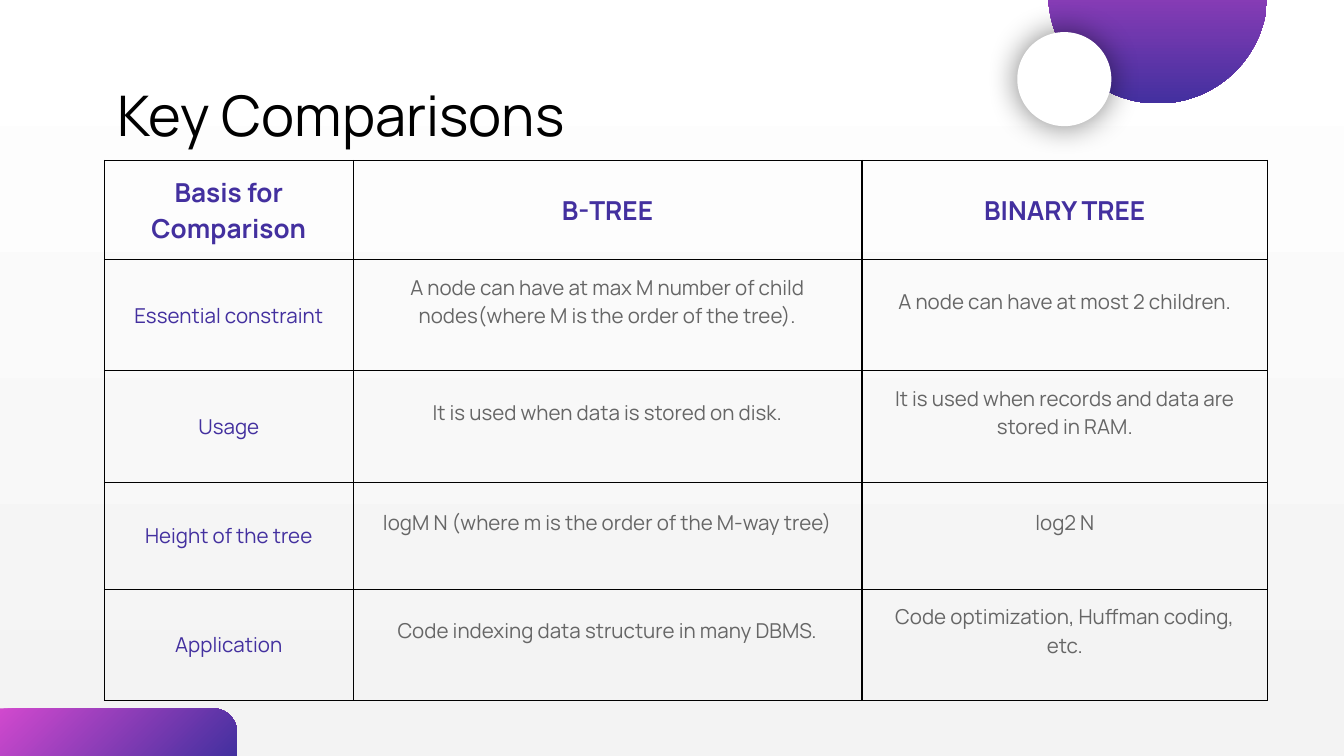
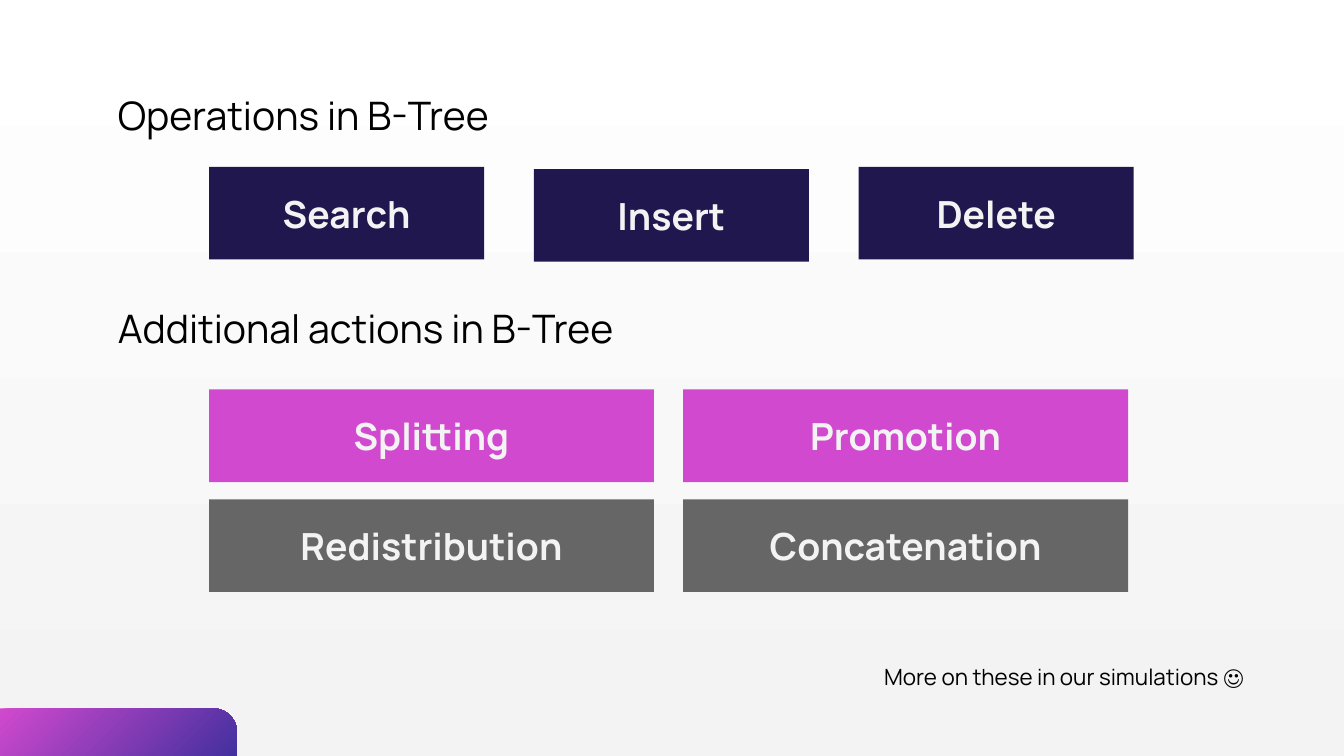
import pptx
import pptx.util
import pptx.dml.color
import pptx.enum.shapes
import pptx.enum.text
import pptx.oxml
import pptx.oxml.ns

Pt = pptx.util.Pt
SHAPES = pptx.enum.shapes.MSO_SHAPE
ALIGN = pptx.enum.text.PP_ALIGN
MIDDLE = pptx.enum.text.MSO_ANCHOR.MIDDLE
FONT = "Manrope"
COLORS = {
    "black": "000000",
    "white": "FFFFFF",
    "light": "F3F3F3",
    "pink": "D149CE",
    "violet": "43309F",
    "navy": "21174F",
    "gray": "666666",
}


def set_text(frame, text, size, color, align, bold=False):
    frame.word_wrap = True
    paragraph = frame.paragraphs[0]
    paragraph.text = text
    paragraph.alignment = align
    paragraph.font.name = FONT
    paragraph.font.size = Pt(size)
    paragraph.font.bold = bold
    paragraph.font.color.rgb = pptx.dml.color.RGBColor.from_string(COLORS[color])


def set_fill(fill, colors, angle=0):
    if len(colors) == 1:
        fill.solid()
        fill.fore_color.rgb = pptx.dml.color.RGBColor.from_string(COLORS[colors[0]])
        return
    fill.gradient()
    fill.gradient_angle = 360 - angle
    for stop, color in zip(fill.gradient_stops, colors):
        stop.color.rgb = pptx.dml.color.RGBColor.from_string(COLORS[color])


presentation = pptx.Presentation()
presentation.slide_width = Pt(720)
presentation.slide_height = Pt(405)

slides = []
for number in range(2):
    slide = presentation.slides.add_slide(presentation.slide_layouts[6])
    set_fill(slide.background.fill, ["white", "light"], 90)
    band = slide.shapes.add_shape(SHAPES.ROUND_1_RECTANGLE, 0, Pt(379.5), Pt(127), Pt(25.5))
    band.adjustments[0] = 0.5
    band.shadow.inherit = False
    band.line.fill.background()
    set_fill(band.fill, ["pink", "violet"], 45)
    slides.append(slide)
comparison_slide, operations_slide = slides

text_lines = [
    (comparison_slide, "Key Comparisons", 56, 42.5, 30, ALIGN.LEFT),
    (operations_slide, "Operations in B-Tree", 56, 42.5, 21, ALIGN.LEFT),
    (operations_slide, "Additional actions in B-Tree", 56, 157, 21, ALIGN.LEFT),
    (operations_slide, "More on these in our simulations ☺", 65.5, 343.5, 12, ALIGN.RIGHT),
]
for slide, text, left, top, size, align in text_lines:
    box = slide.shapes.add_textbox(Pt(left), Pt(top), Pt(608), Pt(37.5))
    frame = box.text_frame
    frame.vertical_anchor = MIDDLE
    frame.margin_left = frame.margin_right = Pt(7.2)
    frame.margin_top = frame.margin_bottom = Pt(7.2)
    set_text(frame, text, size, "black", align)

comparison_rows = [
    ("Basis for Comparison", "B-TREE", "BINARY TREE"),
    (
        "Essential constraint",
        "A node can have at max M number of child nodes(where M is the order of the tree).",
        "A node can have at most 2 children.",
    ),
    (
        "Usage",
        "It is used when data is stored on disk.",
        "It is used when records and data are stored in RAM.",
    ),
    ("Height of the tree", "logM N (where m is the order of the M-way tree)", "log2 N"),
    (
        "Application",
        "Code indexing data structure in many DBMS.",
        "Code optimization, Huffman coding, etc.",
    ),
]
column_widths = [133.2, 272.6, 217.4]
row_heights = [53.2, 59.5, 60, 57, 59.7]
table = comparison_slide.shapes.add_table(
    len(row_heights), len(column_widths), Pt(56), Pt(86),
    Pt(sum(column_widths)), Pt(sum(row_heights)),
).table
table.first_row = False
table.horz_banding = False
for column, width in zip(table.columns, column_widths):
    column.width = Pt(width)
for row, height in zip(table.rows, row_heights):
    row.height = Pt(height)

for row_index, texts in enumerate(comparison_rows):
    for column_index, text in enumerate(texts):
        cell = table.cell(row_index, column_index)
        is_header = row_index == 0
        is_body = row_index > 0 and column_index > 0
        cell.vertical_anchor = MIDDLE
        cell.margin_left = cell.margin_right = cell.margin_top = Pt(7.2)
        cell.margin_bottom = Pt(22 if is_body else 7.2)
        set_text(cell.text_frame, text, 14 if is_header else 11,
                 "gray" if is_body else "violet", ALIGN.CENTER, is_header)
        properties = cell._tc.get_or_add_tcPr()
        for side in ("lnL", "lnR", "lnT", "lnB"):
            properties.append(pptx.oxml.parse_xml(
                f'<a:{side} {pptx.oxml.ns.nsdecls("a")} w="{Pt(0.75)}"><a:solidFill>'
                f'<a:srgbClr val="{COLORS["black"]}"/></a:solidFill></a:{side}>'
            ))
        cell.fill.background()

circles = [
    (561.6, -62, 117.4, ["pink", "violet"]),
    (545, 17.2, 50.4, ["white"]),
]
for left, top, diameter, colors in circles:
    circle = comparison_slide.shapes.add_shape(
        SHAPES.OVAL, Pt(left), Pt(top), Pt(diameter), Pt(diameter))
    circle.shadow.inherit = False
    circle.line.fill.background()
    set_fill(circle.fill, colors, 90)
effects = circle._element.spPr.find(pptx.oxml.ns.qn("a:effectLst"))
effects.append(pptx.oxml.parse_xml(
    f'<a:outerShdw {pptx.oxml.ns.nsdecls("a")} blurRad="{Pt(16.9)}" dist="0" dir="0" '
    f'algn="ctr" rotWithShape="0"><a:srgbClr val="{COLORS["black"]}">'
    '<a:alpha val="50000"/></a:srgbClr></a:outerShdw>'
))

button_rows = [
    (["Search", "Insert", "Delete"], 89.4, 147.4, 174, "navy"),
    (["Splitting", "Promotion"], 208.7, 238.4, 254, "pink"),
    (["Redistribution", "Concatenation"], 267.6, 238.4, 254, "gray"),
]
for labels, top, width, pitch, color in button_rows:
    for index, label in enumerate(labels):
        drop = 1.2 if label == "Insert" else 0
        button = operations_slide.shapes.add_shape(
            SHAPES.RECTANGLE, Pt(112 + index * pitch), Pt(top + drop), Pt(width), Pt(49.6))
        button.shadow.inherit = False
        button.line.fill.background()
        set_fill(button.fill, [color])
        button.text_frame.vertical_anchor = MIDDLE
        set_text(button.text_frame, label, 20, "light", ALIGN.CENTER, True)

presentation.save("out.pptx")
